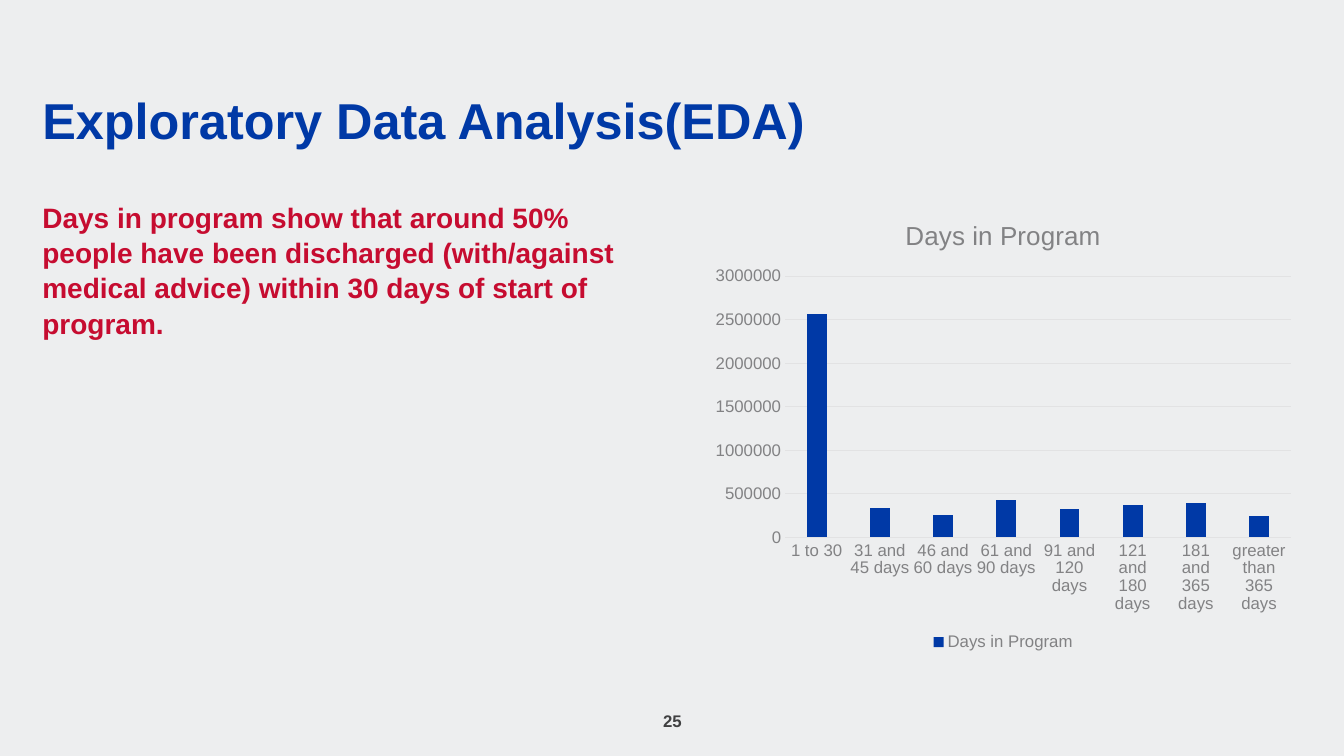
from dataclasses import dataclass

from pptx import Presentation
from pptx.chart.data import CategoryChartData
from pptx.dml.color import RGBColor
from pptx.enum.chart import XL_CHART_TYPE as ChartType
from pptx.enum.chart import XL_LEGEND_POSITION as LegendPosition
from pptx.enum.chart import XL_TICK_MARK as TickMark
from pptx.enum.text import MSO_ANCHOR as Anchor
from pptx.enum.text import PP_ALIGN as Align
from pptx.util import Inches, Pt


@dataclass(frozen=True)
class Theme:
    font: str = "Arial"
    background: str = "EDEEEF"
    blue: str = "0039A6"
    red: str = "C60C30"
    dark: str = "404041"
    gray: str = "828284"
    grid: str = "E2E2E3"
    title_size: float = 36
    body_size: float = 20
    chart_title_size: float = 18.6
    label_size: float = 12


THEME = Theme()
MARGIN, CONTENT_TOP = 0.42, 1.97
COLUMN_WIDTH, COLUMN_HEIGHT = 5.94, 4.53
CHART_LEFT = 6.98
DAYS_IN_PROGRAM = {
    "1 to 30": 2570000,
    "31 and 45 days": 340000,
    "46 and 60 days": 260000,
    "61 and 90 days": 430000,
    "91 and 120 days": 330000,
    "121 and 180 days": 370000,
    "181 and 365 days": 400000,
    "greater than 365 days": 250000,
}


def style_font(font, size, color, bold=False):
    for name, value in {"name": THEME.font, "size": Pt(size), "bold": bold}.items():
        setattr(font, name, value)
    font.color.rgb = RGBColor.from_string(color)


def style_line(line, color):
    line.color.rgb = RGBColor.from_string(color)
    line.width = Pt(0.75)


def add_text(slide, box, text, size, color, anchor=Anchor.TOP,
             align=Align.LEFT, spacing=1.0):
    """Place one bold paragraph in a box without insets."""
    frame = slide.shapes.add_textbox(*map(Inches, box)).text_frame
    frame_format = {"word_wrap": True, "vertical_anchor": anchor, "margin_left": 0,
                    "margin_top": 0, "margin_right": 0, "margin_bottom": 0}
    for name, value in frame_format.items():
        setattr(frame, name, value)
    paragraph = frame.paragraphs[0]
    paragraph.alignment = align
    paragraph.line_spacing = spacing
    run = paragraph.add_run()
    run.text = text
    style_font(run.font, size, color, bold=True)


def add_days_chart(slide, box):
    data = CategoryChartData(number_format="General")
    data.categories = list(DAYS_IN_PROGRAM)
    data.add_series("Days in Program", list(DAYS_IN_PROGRAM.values()))
    chart = slide.shapes.add_chart(
        ChartType.COLUMN_CLUSTERED, *map(Inches, box), data).chart
    style_font(chart.font, 10, THEME.dark)

    # Title and legend
    chart.has_title = True
    title = chart.chart_title.text_frame
    title.text = "Days in Program"
    style_font(title.paragraphs[0].runs[0].font, THEME.chart_title_size, THEME.gray)
    chart.has_legend = True
    chart.legend.position = LegendPosition.BOTTOM
    chart.legend.include_in_layout = False
    style_font(chart.legend.font, THEME.label_size, THEME.gray)

    # Columns
    plot = chart.plots[0]
    for name, value in {"gap_width": 219, "overlap": -27,
                        "vary_by_categories": False}.items():
        setattr(plot, name, value)
    columns = plot.series[0].format.fill
    columns.solid()
    columns.fore_color.rgb = RGBColor.from_string(THEME.blue)

    # Axes
    days, people = chart.category_axis, chart.value_axis
    for axis in (days, people):
        axis.major_tick_mark = axis.minor_tick_mark = TickMark.NONE
        style_font(axis.tick_labels.font, THEME.label_size, THEME.gray)
    style_line(days.format.line, THEME.grid)
    people.format.line.fill.background()
    people.has_major_gridlines = True
    style_line(people.major_gridlines.format.line, THEME.grid)
    for name, value in {"minimum_scale": 0, "maximum_scale": 3000000,
                        "major_unit": 500000}.items():
        setattr(people, name, value)


def build_analysis_slide(deck):
    slide = deck.slides.add_slide(deck.slide_layouts[6])
    background = slide.background.fill
    background.solid()
    background.fore_color.rgb = RGBColor.from_string(THEME.background)

    # Heading
    add_text(slide, (MARGIN, 0.94, 12.5, 0.55), "Exploratory Data Analysis(EDA)",
             THEME.title_size, THEME.blue, anchor=Anchor.BOTTOM, spacing=0.9)

    # Finding on the left, chart on the right
    add_days_chart(slide, (CHART_LEFT, CONTENT_TOP, COLUMN_WIDTH, COLUMN_HEIGHT))
    add_text(slide, (MARGIN, CONTENT_TOP, COLUMN_WIDTH, COLUMN_HEIGHT),
             "Days in program show that around 50% people have been discharged "
             "(with/against medical advice) within 30 days of start of program.",
             THEME.body_size, THEME.red, spacing=1.05)

    # Page number
    add_text(slide, (5.17, 6.95, 3, 0.4), "25", THEME.label_size, THEME.dark,
             anchor=Anchor.MIDDLE, align=Align.CENTER)


def main():
    deck = Presentation()
    deck.slide_width, deck.slide_height = Inches(13.33), Inches(7.5)
    build_analysis_slide(deck)
    deck.save("out.pptx")


if __name__ == "__main__":
    main()
